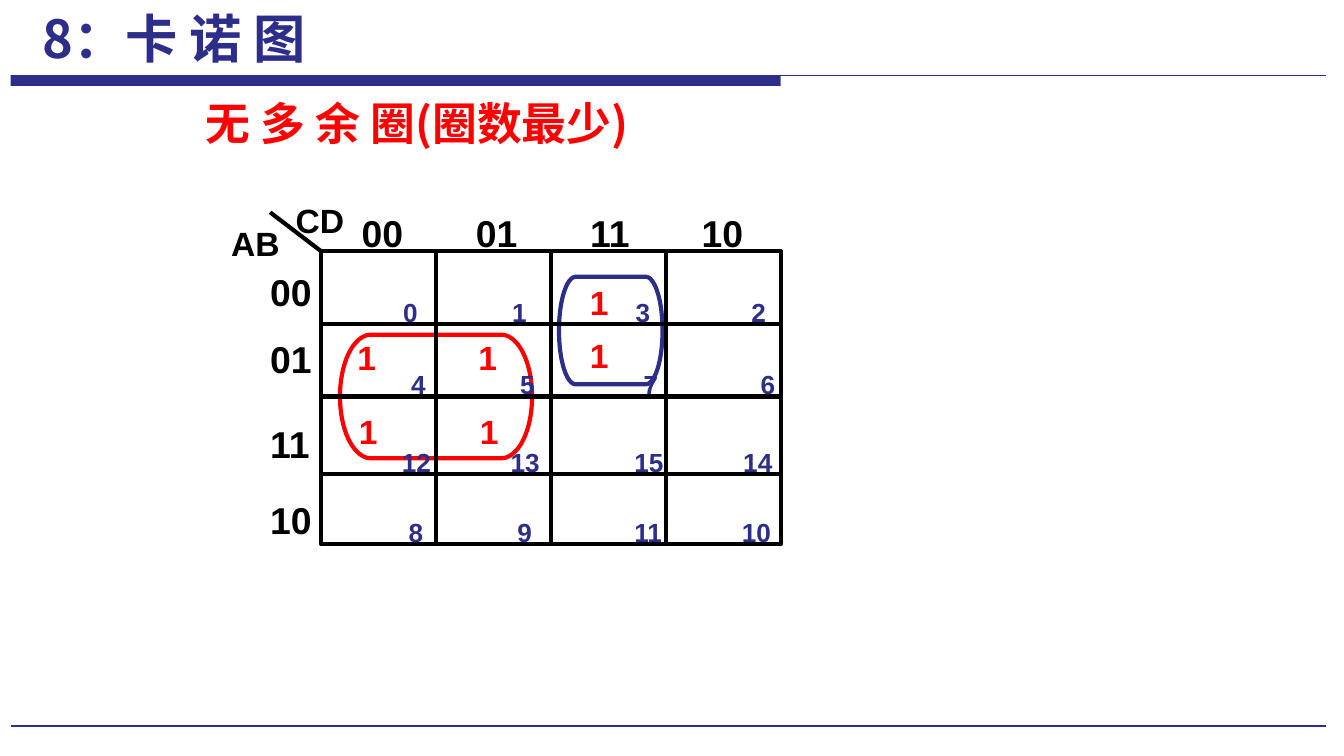
import pptx
import pptx.util
import pptx.dml.color
import pptx.enum.shapes
import pptx.enum.text
import pptx.oxml.ns
import lxml.etree

Inches, Pt = pptx.util.Inches, pptx.util.Pt
RGBColor = pptx.dml.color.RGBColor
MSO_SHAPE = pptx.enum.shapes.MSO_SHAPE
PP_ALIGN = pptx.enum.text.PP_ALIGN
qn = pptx.oxml.ns.qn

NAVY = RGBColor(0x2D, 0x2D, 0x8A)
RED = RGBColor(0xFF, 0x00, 0x00)
BLACK = RGBColor(0x00, 0x00, 0x00)
LATIN, HAN = "Arial", "Noto Sans CJK SC"

# Content
TITLE = "8：卡 诺 图"
SUBTITLE = "无 多 余 圈(圈数最少)"
CODES = ["00", "01", "11", "10"]
CODE_TOPS = [2, 2.5, 3.13, 3.7]
AXES = [("CD", 2.11, 1.48), ("AB", 1.63, 1.65)]
LOOPS = [(RED, 2.53, 2.49, 1.43, 0.92), (NAVY, 4.16, 2.06, 0.77, 0.8)]
ONES = [(2.42, 2.49), (2.43, 3.04)]
# Minterm numbers of a row, box left and top, tab stops
MINTERMS = [
    (["0", "1", "3", "2"], 2.87, 2.19, (0.81, 1.73, 2.59)),
    (["4", "5", "7", "6"], 2.93, 2.73, (0.81, 1.73, 2.6)),
    (["12", "13", "15", "14"], 2.86, 3.31, (0.81, 1.73, 2.54)),
    (["8", "9", "11", "10"], 2.91, 3.83, (0.81, 1.68, 2.48)),
]

# Map grid: equal columns, measured rows
LEFT, COL_W = 2.39, 0.855
ROW_EDGES = [1.87, 2.41, 2.95, 3.53, 4.05]
COL_EDGES = [LEFT + COL_W * i for i in range(5)]

# Page frame
PAGE_L, PAGE_R, RULE_Y, FOOT_Y = 0.08, 9.87, 0.56, 5.4
TIGHT = (0.09, 0.04)

prs = pptx.Presentation()
prs.slide_width = Inches(10)
prs.slide_height = prs.slide_width * 9 // 16
s = prs.slides.add_slide(prs.slide_layouts[6])


def add_text(lines, x, y, w, h, size=18, color=BLACK, font=LATIN,
             align=PP_ALIGN.LEFT, wrap=True, inset=TIGHT, indent=None,
             spacing=0.9, tabs=()):
    tf = s.shapes.add_textbox(Inches(x), Inches(y), Inches(w), Inches(h)).text_frame
    tf.word_wrap = wrap
    tf.auto_size = pptx.enum.text.MSO_AUTO_SIZE.SHAPE_TO_FIT_TEXT
    tf.margin_left = Inches(inset[0] if indent is None else indent)
    tf.margin_right = Inches(inset[0])
    tf.margin_top = tf.margin_bottom = Inches(inset[1])
    for i, line in enumerate(lines):
        p = tf.paragraphs[0] if i == 0 else tf.add_paragraph()
        p.alignment, p.line_spacing = align, spacing
        if i:
            p.space_before = Pt(size / 2)
        if tabs:
            stops = lxml.etree.SubElement(p._p.get_or_add_pPr(), qn("a:tabLst"))
            for pos in tabs:
                lxml.etree.SubElement(stops, qn("a:tab"),
                                      pos=str(int(Inches(pos))), algn="l")
        r = p.add_run()
        r.text = line
        r.font.size, r.font.bold, r.font.name = Pt(size), True, font
        r.font.color.rgb = color
        ea = lxml.etree.SubElement(r.font._element, qn("a:ea"))
        ea.set("typeface", font)


def add_line(x1, y1, x2, y2, color=BLACK, width=2.25):
    c = s.shapes.add_connector(pptx.enum.shapes.MSO_CONNECTOR.STRAIGHT,
                               Inches(x1), Inches(y1), Inches(x2), Inches(y2))
    c.line.color.rgb, c.line.width = color, Pt(width)
    lxml.etree.SubElement(c._element.spPr, qn("a:effectLst"))


def add_outline(kind, x, y, w, h, color):
    sp = s.shapes.add_shape(kind, Inches(x), Inches(y), Inches(w), Inches(h))
    sp.shadow.inherit = False
    sp.fill.background()
    sp.line.color.rgb, sp.line.width = color, Pt(2.25)
    return sp


# Header bar and rules
bar = add_outline(MSO_SHAPE.RECTANGLE, PAGE_L, RULE_Y, 5.73, 0.08, NAVY)
bar.fill.solid()
bar.fill.fore_color.rgb = NAVY
bar.line.fill.background()
add_line(PAGE_L, RULE_Y, PAGE_R, RULE_Y, NAVY, 0.75)
add_line(PAGE_L, FOOT_Y, PAGE_R, FOOT_Y, NAVY, 1.25)

# Subtitle
add_text([SUBTITLE], 1.44, 0.72, 5.1, 0.45, size=24, color=RED, font=HAN)

# Loops and the ones they group
for color, *box in LOOPS:
    add_outline(MSO_SHAPE.FLOWCHART_TERMINATOR, *box, color)
for x, y in ONES:
    add_text(["1\t1"], x, y, 1.67, 0.37, color=RED, inset=(0.1, 0.05),
             indent=0.24, tabs=(0.9,))
add_text(["1", "1"], 4.29, 2.08, 1.33, 0.8, color=RED, inset=(0.1, 0.05))

# Column codes
add_text(["\t".join(CODES)], 2.3, 1.56, 3.51, 0.39, size=20, indent=0.39,
         tabs=(0.85, 1.7, 2.53))

# Map grid
top, bottom, right = ROW_EDGES[0], ROW_EDGES[-1], COL_EDGES[-1]
add_outline(MSO_SHAPE.RECTANGLE, LEFT, top, right - LEFT, bottom - top, BLACK)
for y in ROW_EDGES[1:-1]:
    add_line(LEFT, y, right, y)
for x in COL_EDGES[1:-1]:
    add_line(x, top, x, bottom)
add_line(LEFT, top, 2.01, 1.58)

# Row codes, axis names and minterm numbers
for code, y in zip(CODES, CODE_TOPS):
    add_text([code], 1.92, y, 0.66, 0.39, size=20)
for name, x, y in AXES:
    add_text([name], x, y, 0.86, 0.36)
for numbers, x, y, tabs in MINTERMS:
    add_text(["\t".join(numbers)], x, y, 3.25, 0.3, size=14, color=NAVY,
             indent=0.13, tabs=tabs)

# Title
add_text([TITLE], 0.17, 0, 2.25, 0.57, size=28, color=NAVY, font=HAN,
         align=PP_ALIGN.CENTER, wrap=False, inset=(0.1, 0.05), spacing=1.0)

prs.save("out.pptx")
